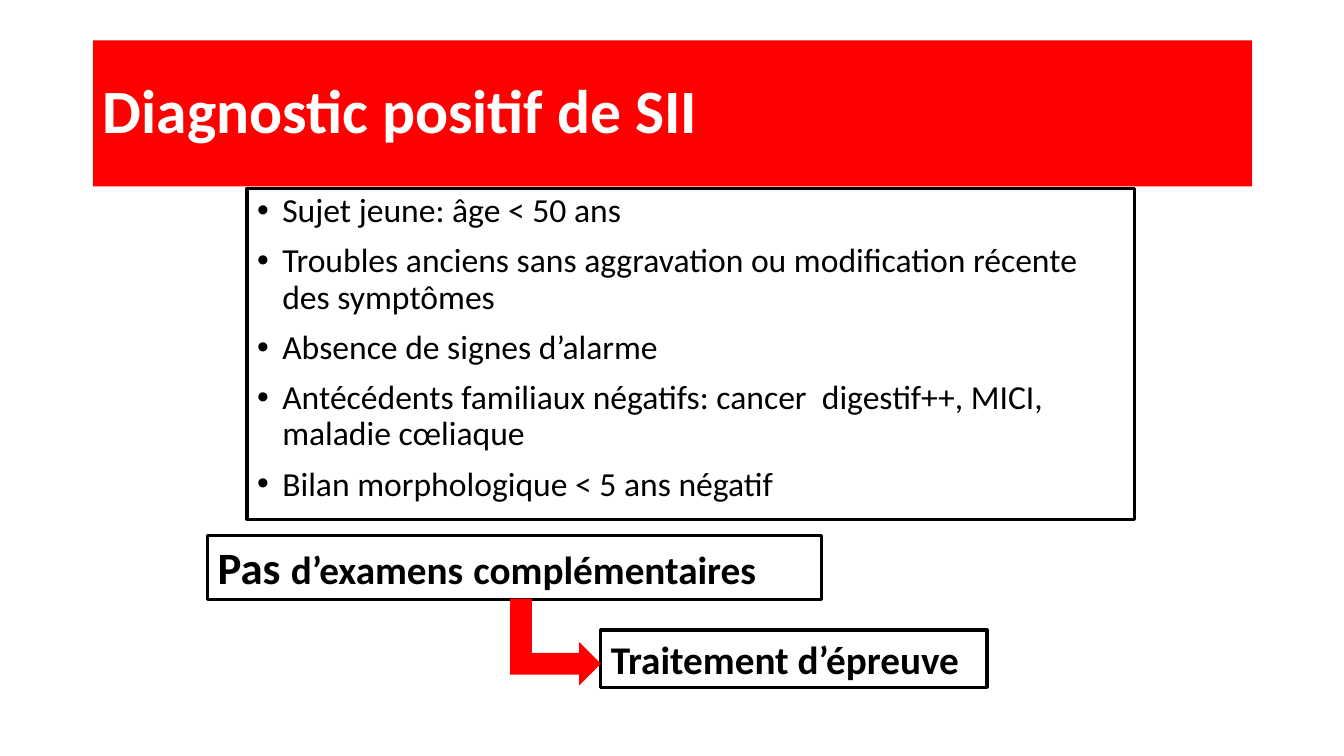
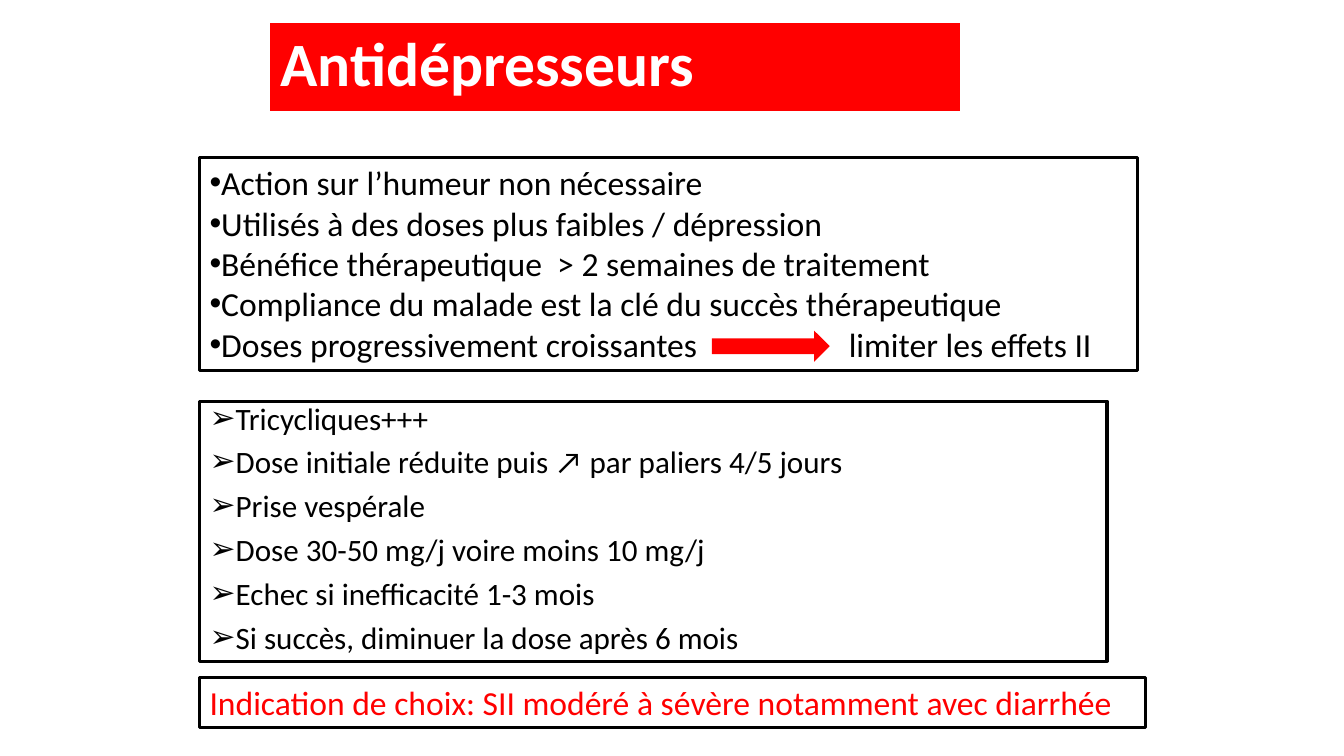
from dataclasses import dataclass
from typing import Optional, Sequence

from lxml import etree
from pptx import Presentation
from pptx import util as u
from pptx.dml.color import RGBColor
from pptx.enum import shapes, text
from pptx.oxml.ns import qn

PX = 9144  # EMU in one px (100 px to the inch)


@dataclass(frozen=True)
class Theme:
    font: str = "Calibri"
    bullet_font: str = "Arial"
    red: str = "FF0000"
    black: str = "000000"
    white: str = "FFFFFF"
    title: float = 44
    lead: float = 32
    label: float = 28
    body: float = 24
    compact: float = 22.2
    border: float = 2.25


@dataclass(frozen=True)
class Box:
    x: int
    y: int
    w: int
    h: int

    def emu(self) -> tuple[int, ...]:
        return tuple(v * PX for v in (self.x, self.y, self.w, self.h))


@dataclass(frozen=True)
class Run:
    text: str
    size: Optional[float] = None


@dataclass(frozen=True)
class Arrow:
    kind: shapes.MSO_SHAPE
    box: Box
    rotation: int = 0


Lines = Sequence[str | Sequence[Run]]
T = Theme()


# Text
def set_bullet(p, char: str, hang: int, tab: int) -> None:
    pPr = p._p.get_or_add_pPr()
    pPr.set("marL", str(hang * PX))
    pPr.set("indent", str(-hang * PX))
    if char:
        etree.SubElement(pPr, qn("a:buFont"), typeface=T.bullet_font)
        etree.SubElement(pPr, qn("a:buChar"), char=char)
    if tab:
        tabs = etree.SubElement(pPr, qn("a:tabLst"))
        etree.SubElement(tabs, qn("a:tab"), pos=str(tab * PX), algn="l")


def write(tf, lines: Lines, *, size: float, color: str = T.black, bold: bool = False,
          bullet: str = "", hang: int = 0, tab: int = 0,
          spacing: float = 1.0, before: float = 0) -> None:
    tf.word_wrap = True
    for i, line in enumerate(lines):
        p = tf.paragraphs[0] if i == 0 else tf.add_paragraph()
        set_bullet(p, bullet, hang, tab)
        p.alignment = text.PP_ALIGN.LEFT
        p.line_spacing = spacing
        p.space_before = u.Pt(before if i else 0)
        for part in [Run(line)] if isinstance(line, str) else line:
            r = p.add_run()
            r.text = part.text
            r.font.name = T.font
            r.font.size = u.Pt(part.size or size)
            r.font.bold = bold
            r.font.color.rgb = RGBColor.from_string(color)


# Shapes
def place(sp, box: Box) -> None:
    sp.left, sp.top, sp.width, sp.height = box.emu()


def fill(sp, color: str) -> None:
    sp.fill.solid()
    sp.fill.fore_color.rgb = RGBColor.from_string(color)


def outline(sp) -> None:
    sp.line.color.rgb = RGBColor.from_string(T.black)
    sp.line.width = u.Pt(T.border)


def add_titled_slide(prs, title: str, box: Box):
    s = prs.slides.add_slide(prs.slide_layouts[1])
    sp = s.shapes.title
    place(sp, box)
    fill(sp, T.red)
    tf = sp.text_frame
    tf.auto_size = text.MSO_AUTO_SIZE.NONE
    tf.vertical_anchor = text.MSO_ANCHOR.MIDDLE
    write(tf, [title], size=T.title, color=T.white, bold=True, spacing=0.9)
    return s


def fill_body(s, box: Box, lines: Lines, **fmt) -> None:
    sp = s.placeholders[1]
    place(sp, box)
    outline(sp)
    sp.text_frame.auto_size = text.MSO_AUTO_SIZE.NONE
    write(sp.text_frame, lines, hang=25, before=10, **fmt)


def add_framed_text(s, box: Box, lines: Lines, **fmt) -> None:
    sp = s.shapes.add_textbox(*box.emu())
    outline(sp)
    sp.text_frame.auto_size = text.MSO_AUTO_SIZE.SHAPE_TO_FIT_TEXT
    write(sp.text_frame, lines, **fmt)


def add_arrow(s, arrow: Arrow) -> None:
    sp = s.shapes.add_shape(arrow.kind, *arrow.box.emu())
    sp.rotation = arrow.rotation
    sp.shadow.inherit = False
    fill(sp, T.red)
    sp.line.fill.background()


# Slides
def build_diagnosis(prs) -> None:
    s = add_titled_slide(prs, "Diagnostic positif de SII", Box(92, 40, 1150, 145))
    fill_body(s, Box(245, 187, 880, 328), [
        "Sujet jeune: âge < 50 ans",
        "Troubles anciens sans aggravation ou modification récente des symptômes",
        "Absence de signes d’alarme",
        "Antécédents familiaux négatifs: cancer  digestif++, MICI, maladie cœliaque",
        "Bilan morphologique < 5 ans négatif",
    ], size=T.body, bullet="•", spacing=0.9)
    add_framed_text(s, Box(206, 531, 609, 64), [[
        Run("Pas ", T.lead), Run("d’examens"), Run(" ", T.lead), Run("complémentaires"),
    ]], size=T.label, bold=True)
    add_framed_text(s, Box(596, 625, 383, 57), ["Traitement d’épreuve"],
                    size=T.label, bold=True)
    add_arrow(s, Arrow(shapes.MSO_SHAPE.BENT_UP_ARROW, Box(508, 592, 86, 90), 90))


def build_antidepressants(prs) -> None:
    s = add_titled_slide(prs, "Antidépresseurs", Box(268, 23, 684, 87))
    add_framed_text(s, Box(198, 156, 930, 212), [
        "Action sur l’humeur non nécessaire",
        "Utilisés à des doses plus faibles / dépression",
        "Bénéfice thérapeutique  > 2 semaines de traitement",
        "Compliance du malade est la clé du succès thérapeutique",
        "Doses progressivement croissantes\tlimiter les effets II",
    ], size=T.body, bullet="•", tab=634)
    add_arrow(s, Arrow(shapes.MSO_SHAPE.RIGHT_ARROW, Box(706, 328, 117, 31)))
    fill_body(s, Box(198, 398, 900, 258), [
        "Tricycliques+++",
        "Dose initiale réduite puis ↗ par paliers 4/5 jours",
        "Prise vespérale",
        "Dose 30-50 mg/j voire moins 10 mg/j",
        "Echec si inefficacité 1-3 mois",
        "Si succès, diminuer la dose après 6 mois",
    ], size=T.compact, bullet="➢", spacing=0.8)
    add_framed_text(s, Box(198, 672, 938, 50),
                    ["Indication de choix: SII modéré à sévère notamment avec diarrhée"],
                    size=T.body, color=T.red)


def main() -> None:
    prs = Presentation()
    prs.slide_width, prs.slide_height = 1333 * PX, 750 * PX
    build_diagnosis(prs)
    build_antidepressants(prs)
    prs.save("out.pptx")


if __name__ == "__main__":
    main()
